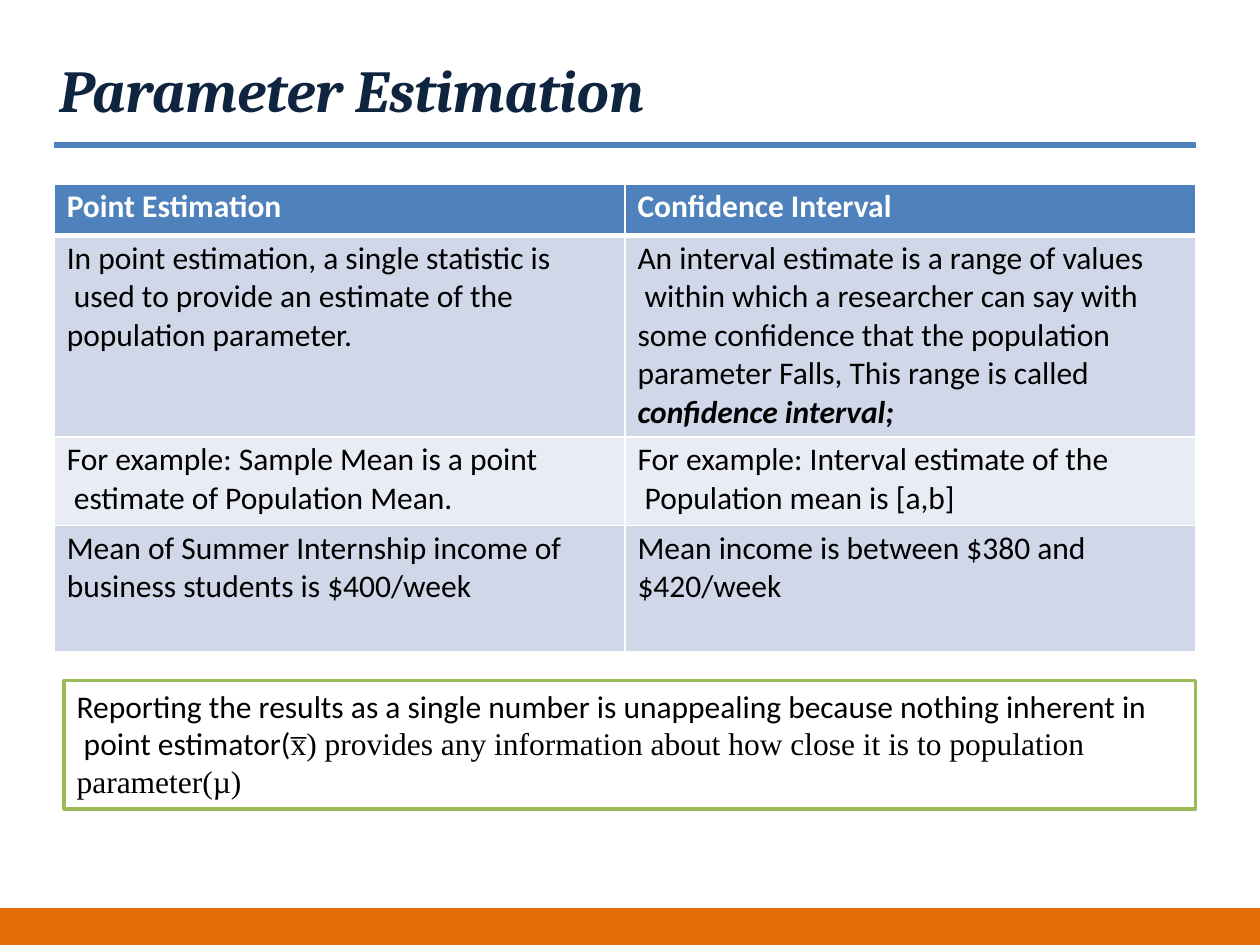
from lxml.etree import SubElement
from pptx import Presentation
from pptx.dml.color import RGBColor
from pptx.enum.shapes import MSO_CONNECTOR, MSO_SHAPE
from pptx.enum.text import MSO_ANCHOR, PP_ALIGN
from pptx.oxml.ns import qn
from pptx.util import Inches, Pt

COLORS = {
    "title": "0F243E", "rule": "4F81BC", "header": "4F81BC",
    "band_dark": "D0D7E8", "band_light": "E9ECF4", "note": "9BBA58",
    "footer": "E36C09", "footer_edge": "385D89", "text": "000000", "white": "FFFFFF",
}

# Each cell is a list of paragraphs; each paragraph is a list of (text, emphasised).
ROWS = [
    [[[("Point Estimation", False)]], [[("Confidence Interval", False)]]],
    [
        [[("In point estimation, a single statistic is\v used to provide an estimate "
           "of the\vpopulation parameter.", False)]],
        [[("An interval estimate is a range of values\v within which a researcher can say "
           "with\vsome confidence that the population\vparameter Falls, This range is "
           "called\v", False), ("confidence interval;", True)]],
    ],
    [
        [[("For example: Sample Mean is a point\v estimate of Population Mean.", False)]],
        [[("For example: Interval estimate of the\v Population mean is [a,b]", False)]],
    ],
    [
        [[("Mean of Summer Internship income of", False)],
         [("business students is $400/week", False)]],
        [[("Mean income is between $380 and", False)], [("$420/week", False)]],
    ],
]
ROW_HEIGHTS = [0.41, 1.6, 0.7, 1.0]
ROW_FILLS = ["header", "band_dark", "band_light", "band_dark"]


def rgb(name):
    return RGBColor.from_string(COLORS[name])


def add_text(paragraph, text, color="text", font="Calibri", size=18, bold=False, italic=False):
    """Append text to the paragraph; a vertical tab marks a line break."""
    for index, line in enumerate(text.split("\v")):
        if index:
            paragraph.add_line_break()
        if line:
            run = paragraph.add_run()
            run.text = line
            run.font.name, run.font.size = font, Pt(size)
            run.font.bold, run.font.italic = bold, italic
            run.font.color.rgb = rgb(color)


def set_margins(target, left, top):
    target.margin_left, target.margin_top = Inches(left), Inches(top)
    target.margin_right = target.margin_bottom = 0


def add_rectangle(slide, left, top, width, height, fill=None, line=None, weight=1):
    shape = slide.shapes.add_shape(
        MSO_SHAPE.RECTANGLE, Inches(left), Inches(top), Inches(width), Inches(height))
    shape.shadow.inherit = False
    if fill:
        shape.fill.solid()
        shape.fill.fore_color.rgb = rgb(fill)
    else:
        shape.fill.background()
    shape.line.color.rgb = rgb(line)
    shape.line.width = Pt(weight)
    return shape


def add_title(slide, left, top, width):
    box = slide.shapes.add_textbox(Inches(left + 0.03), Inches(top), Inches(5.13), Inches(0.59))
    set_margins(box.text_frame, 0.01, 0.01)
    add_text(box.text_frame.paragraphs[0], "Parameter Estimation", "title", "Cambria", 34,
             bold=True, italic=True)
    rule_top = Inches(top + 0.74)
    rule = slide.shapes.add_connector(
        MSO_CONNECTOR.STRAIGHT, Inches(left), rule_top, Inches(left + width), rule_top)
    rule.line.color.rgb = rgb("rule")
    rule.line.width = Pt(3)
    SubElement(rule._element.spPr, qn("a:effectLst"))


def style_cell(cell, fill, top_weight, bottom_weight):
    properties = cell._tc.get_or_add_tcPr()
    weights = {"a:lnL": 1, "a:lnR": 1, "a:lnT": top_weight, "a:lnB": bottom_weight}
    for tag, weight in weights.items():
        border = SubElement(properties, qn(tag), w=str(Pt(weight)))
        SubElement(SubElement(border, qn("a:solidFill")), qn("a:srgbClr"), val=COLORS["white"])
    cell.fill.solid()
    cell.fill.fore_color.rgb = rgb(fill)
    set_margins(cell, 0.1, 0.03)


def add_comparison_table(slide, left, top, width):
    table = slide.shapes.add_table(
        len(ROWS), 2, Inches(left), Inches(top), Inches(width), Inches(sum(ROW_HEIGHTS))).table
    for column in table.columns:
        column.width = Inches(width / 2)
    for row_index, row in enumerate(ROWS):
        table.rows[row_index].height = Inches(ROW_HEIGHTS[row_index])
        is_header = row_index == 0
        for column_index, paragraphs in enumerate(row):
            cell = table.cell(row_index, column_index)
            style_cell(cell, ROW_FILLS[row_index], 3 if row_index == 1 else 1,
                       3 if is_header else 1)
            for index, segments in enumerate(paragraphs):
                frame = cell.text_frame
                paragraph = frame.add_paragraph() if index else frame.paragraphs[0]
                for text, emphasised in segments:
                    add_text(paragraph, text, "white" if is_header else "text",
                             bold=is_header or emphasised, italic=emphasised)


def add_note(slide, left, top, width, height):
    box = add_rectangle(slide, left, top, width, height, line="note", weight=2.04)
    frame = box.text_frame
    frame.word_wrap = True
    frame.vertical_anchor = MSO_ANCHOR.TOP
    set_margins(frame, 0.1, 0.05)
    paragraph = frame.paragraphs[0]
    paragraph.alignment = PP_ALIGN.LEFT
    add_text(paragraph, "Reporting the results as a single number is unappealing because "
                        "nothing inherent in\v point estimator(")
    add_text(paragraph, "x̅) provides any information about how close it is to population\v"
                        "parameter(µ)", font="Times New Roman")


def add_footer(slide, top, width, height):
    add_rectangle(slide, 0, top + 0.01, width, height, line="footer_edge", weight=2.04)
    add_rectangle(slide, 0, top, width, height, fill="footer", line="footer", weight=0.75)


def main():
    presentation = Presentation()
    presentation.slide_width, presentation.slide_height = Inches(10), Inches(7.5)
    slide = presentation.slides.add_slide(presentation.slide_layouts[6])
    add_title(slide, 0.43, 0.41, 9.06)
    add_comparison_table(slide, 0.43, 1.46, 9.06)
    add_note(slide, 0.51, 5.4, 8.98, 1.02)
    add_footer(slide, 7.21, 10, 0.29)
    presentation.save("out.pptx")


if __name__ == "__main__":
    main()
